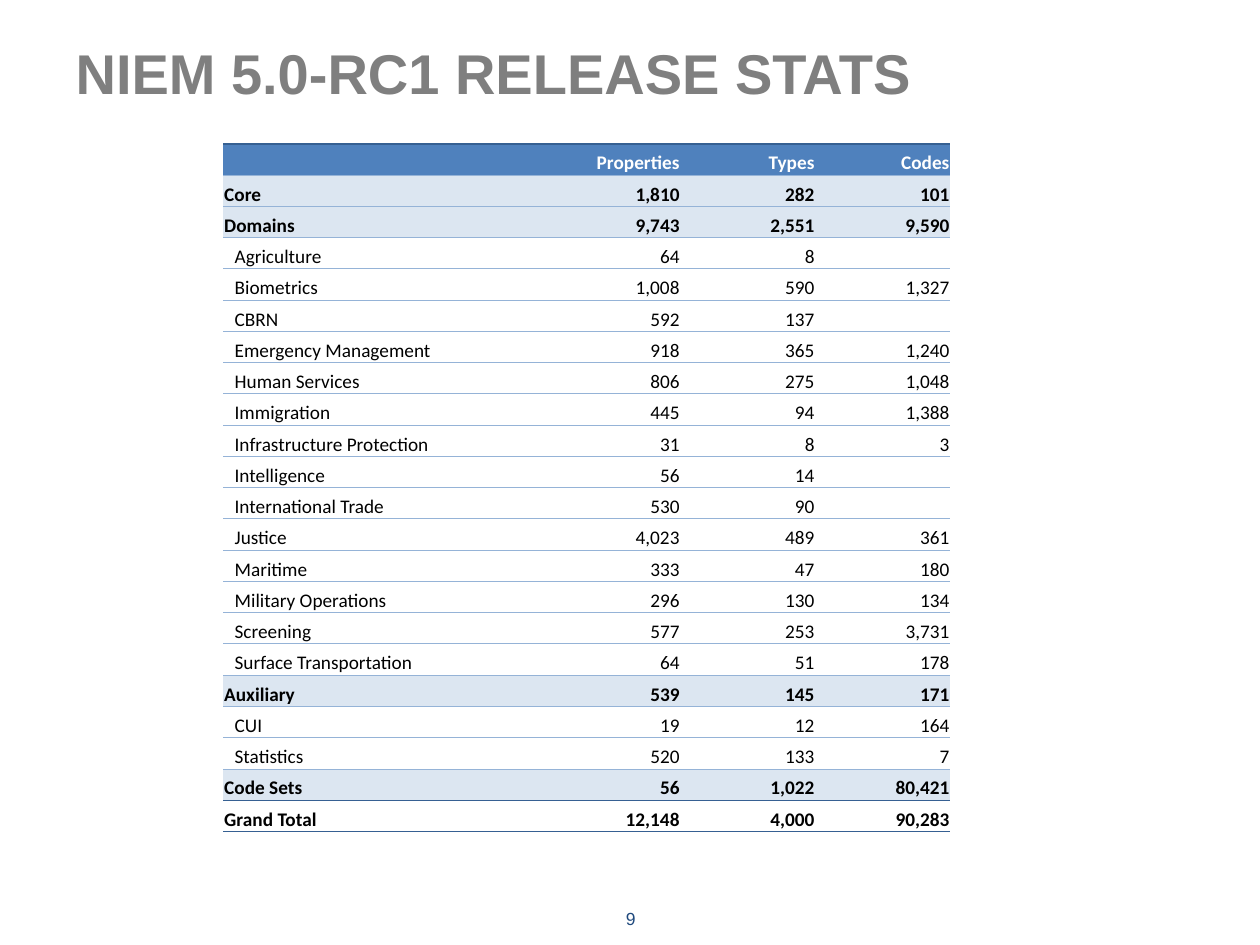
from pptx import Presentation
from pptx.dml.color import RGBColor
from pptx.enum.text import MSO_ANCHOR, PP_ALIGN
from pptx.oxml.ns import qn
from pptx.util import Cm, Pt
from lxml import etree

LEFT, CENTER, RIGHT = PP_ALIGN.LEFT, PP_ALIGN.CENTER, PP_ALIGN.RIGHT
MIDDLE, BOTTOM = MSO_ANCHOR.MIDDLE, MSO_ANCHOR.BOTTOM

WHITE = RGBColor(0xFF, 0xFF, 0xFF)
BLACK = RGBColor(0x00, 0x00, 0x00)
GRAY = RGBColor(0x7F, 0x7F, 0x7F)
NAVY = RGBColor(0x1F, 0x49, 0x7D)
BLUE = RGBColor(0x4F, 0x81, 0xBD)
PALE_BLUE = RGBColor(0xDC, 0xE6, 0xF1)
RULE_BLUE = RGBColor(0x95, 0xB3, 0xD7)
DARK_BLUE = RGBColor(0x36, 0x60, 0x92)

PLAIN_TABLE = "{2D5ABB26-0587-4C30-8999-92F81FD0307C}"
COLUMN_WIDTHS = [6.5, 2.72, 2.72, 2.72]
ROW_HEIGHT = 0.63
GROUPS = {"Core", "Domains", "Auxiliary", "Code Sets"}
STATS = [
    ("", "Properties", "Types", "Codes"),
    ("Core", "1,810", "282", "101"),
    ("Domains", "9,743", "2,551", "9,590"),
    ("Agriculture", "64", "8", ""),
    ("Biometrics", "1,008", "590", "1,327"),
    ("CBRN", "592", "137", ""),
    ("Emergency Management", "918", "365", "1,240"),
    ("Human Services", "806", "275", "1,048"),
    ("Immigration", "445", "94", "1,388"),
    ("Infrastructure Protection", "31", "8", "3"),
    ("Intelligence", "56", "14", ""),
    ("International Trade", "530", "90", ""),
    ("Justice", "4,023", "489", "361"),
    ("Maritime", "333", "47", "180"),
    ("Military Operations", "296", "130", "134"),
    ("Screening", "577", "253", "3,731"),
    ("Surface Transportation", "64", "51", "178"),
    ("Auxiliary", "539", "145", "171"),
    ("CUI", "19", "12", "164"),
    ("Statistics", "520", "133", "7"),
    ("Code Sets", "56", "1,022", "80,421"),
    ("Grand Total", "12,148", "4,000", "90,283"),
]


class SlideBuilder:
    heading_font = "Arial"
    table_font = "Calibri"
    table_size = 11

    def __init__(self, slide):
        self.slide = slide

    def format(self, p, name, size, color, bold=False, align=LEFT):
        p.alignment = align
        p.font.name = name
        p.font.size = Pt(size)
        p.font.bold = bold
        p.font.color.rgb = color

    def title(self, text, x, y, w, h):
        sp = self.slide.shapes.title
        sp.left, sp.top, sp.width, sp.height = Cm(x), Cm(y), Cm(w), Cm(h)
        tf = sp.text_frame
        tf.text = text
        tf.vertical_anchor = MIDDLE
        p = tf.paragraphs[0]
        p.line_spacing = 0.8
        self.format(p, self.heading_font, 32, GRAY, bold=True)

    def page_number(self, text, x, y, w, h):
        sp = self.slide.shapes.add_textbox(Cm(x), Cm(y), Cm(w), Cm(h))
        tf = sp.text_frame
        tf.word_wrap = True
        tf.vertical_anchor = MIDDLE
        tf.text = text
        self.format(tf.paragraphs[0], self.heading_font, 10, NAVY, align=CENTER)

    def border(self, cell, position, tag, color, width):
        ln = etree.Element(qn(tag), w=str(Pt(width)))
        fill = etree.SubElement(ln, qn("a:solidFill"))
        etree.SubElement(fill, qn("a:srgbClr"), val=str(color))
        cell._tc.get_or_add_tcPr().insert(position, ln)

    def cell(self, cell, text, align, color, bold, fill, indent, top, bottom):
        cell.text = text
        cell.vertical_anchor = BOTTOM
        cell.margin_left = Cm(indent)
        cell.margin_right = cell.margin_top = Cm(0.02)
        cell.margin_bottom = 0
        p = cell.text_frame.paragraphs[0]
        self.format(p, self.table_font, self.table_size, color, bold, align)
        if not text:
            p._p.get_or_add_endParaRPr().set("sz", str(self.table_size * 100))
        if fill is None:
            cell.fill.background()
        else:
            cell.fill.solid()
            cell.fill.fore_color.rgb = fill
        self.border(cell, 0, "a:lnT", *top)
        self.border(cell, 1, "a:lnB", *bottom)

    def stats_table(self, rows, x, y):
        frame = self.slide.shapes.add_table(
            len(rows), len(COLUMN_WIDTHS), Cm(x), Cm(y),
            Cm(sum(COLUMN_WIDTHS)), Cm(ROW_HEIGHT * len(rows)))
        table = frame.table
        table.first_row = table.horz_banding = False
        table._tbl.tblPr.find(qn("a:tableStyleId")).text = PLAIN_TABLE
        for column, width in zip(table.columns, COLUMN_WIDTHS):
            column.width = Cm(width)

        thin, dark, edge = (RULE_BLUE, 0.5), (DARK_BLUE, 0.5), (DARK_BLUE, 1)
        last = len(rows) - 1
        rules = [edge] + [thin] * (last - 1) + [dark, edge]
        for i, row in enumerate(rows):
            table.rows[i].height = Cm(ROW_HEIGHT)
            header, group = i == 0, row[0] in GROUPS
            bold = header or group or i == last
            fill = BLUE if header else PALE_BLUE if group else None
            for j, text in enumerate(row):
                self.cell(
                    table.cell(i, j), text,
                    align=RIGHT if j else LEFT,
                    color=WHITE if header else BLACK,
                    bold=bold, fill=fill,
                    indent=0.02 if j or bold else 0.23,
                    top=rules[i], bottom=rules[i + 1])


def main():
    prs = Presentation()
    prs.slide_width, prs.slide_height = Cm(25.4), Cm(19.05)
    s = SlideBuilder(prs.slides.add_slide(prs.slide_layouts[5]))
    s.page_number("9", 8.69, 18, 8.05, 1.02)
    s.title("NIEM 5.0-RC1 RELEASE STATS", 1.27, 0.81, 22.86, 1.55)
    s.stats_table(STATS, 4.5, 2.9)
    prs.save("out.pptx")


if __name__ == "__main__":
    main()
